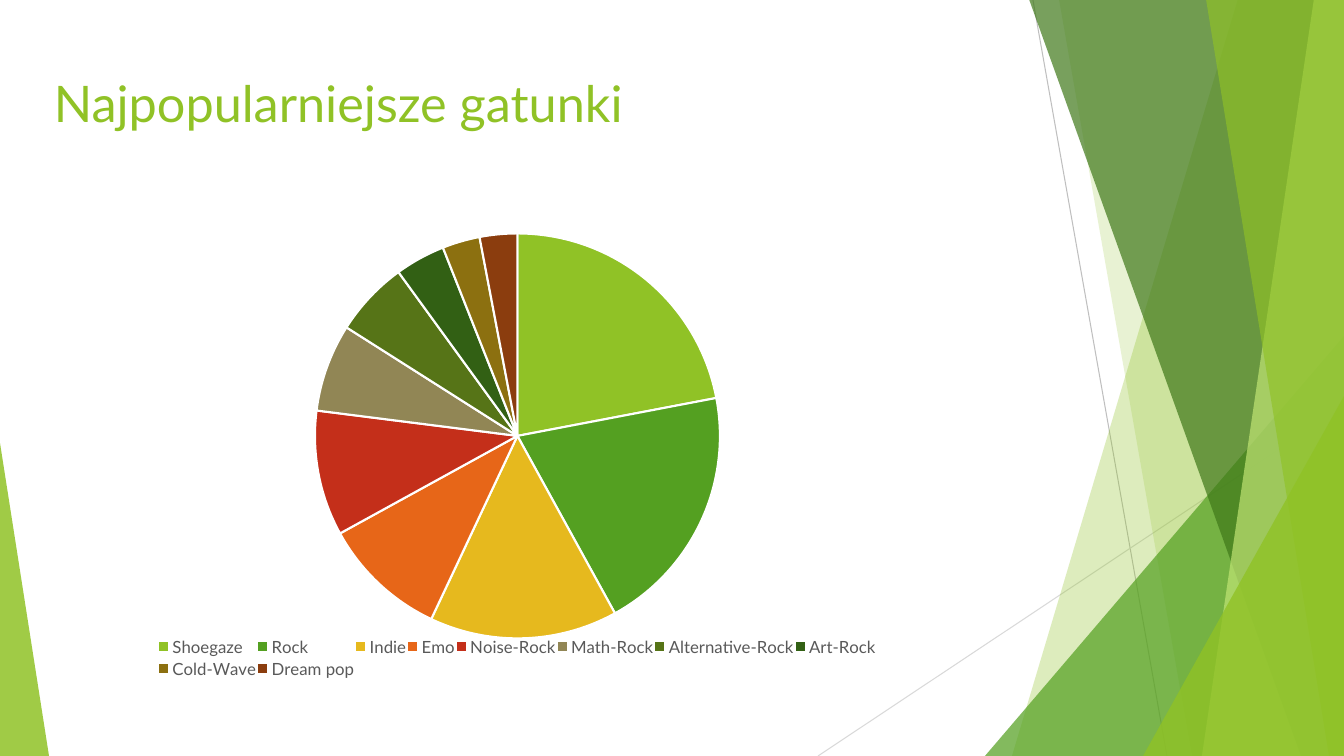
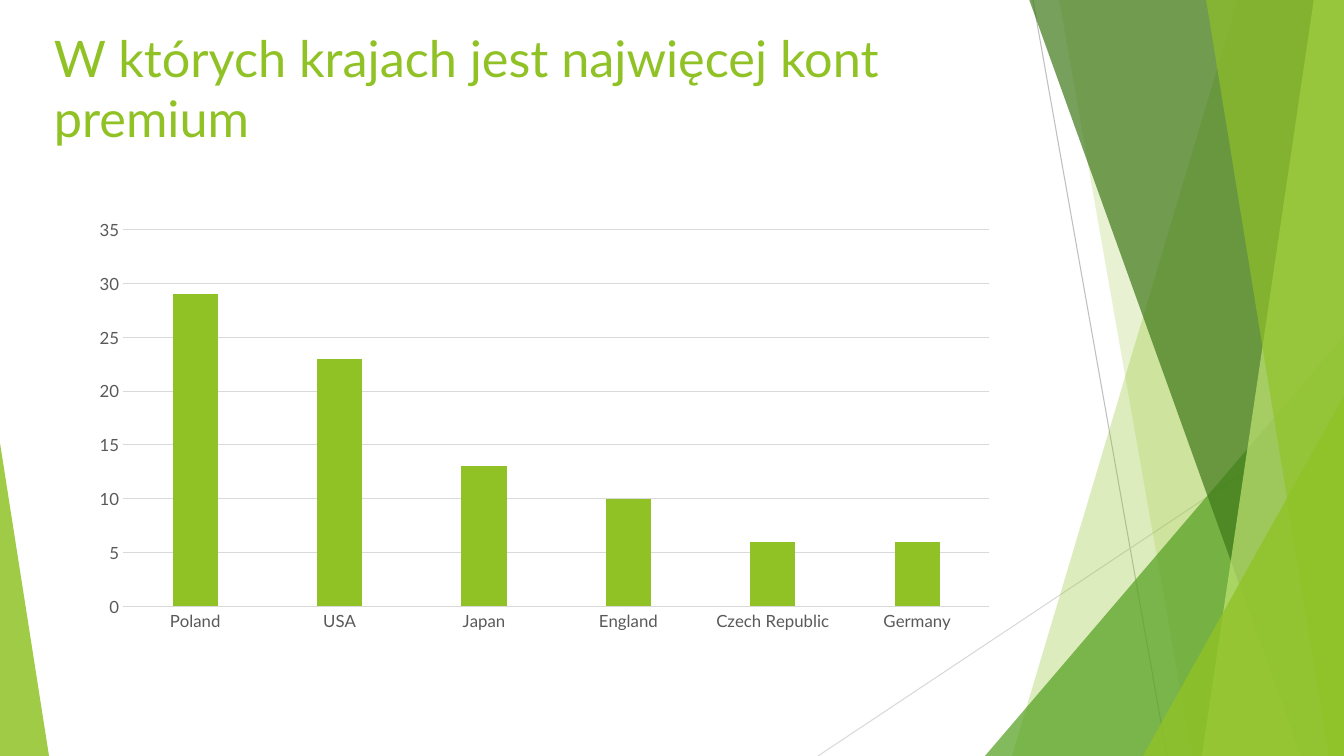
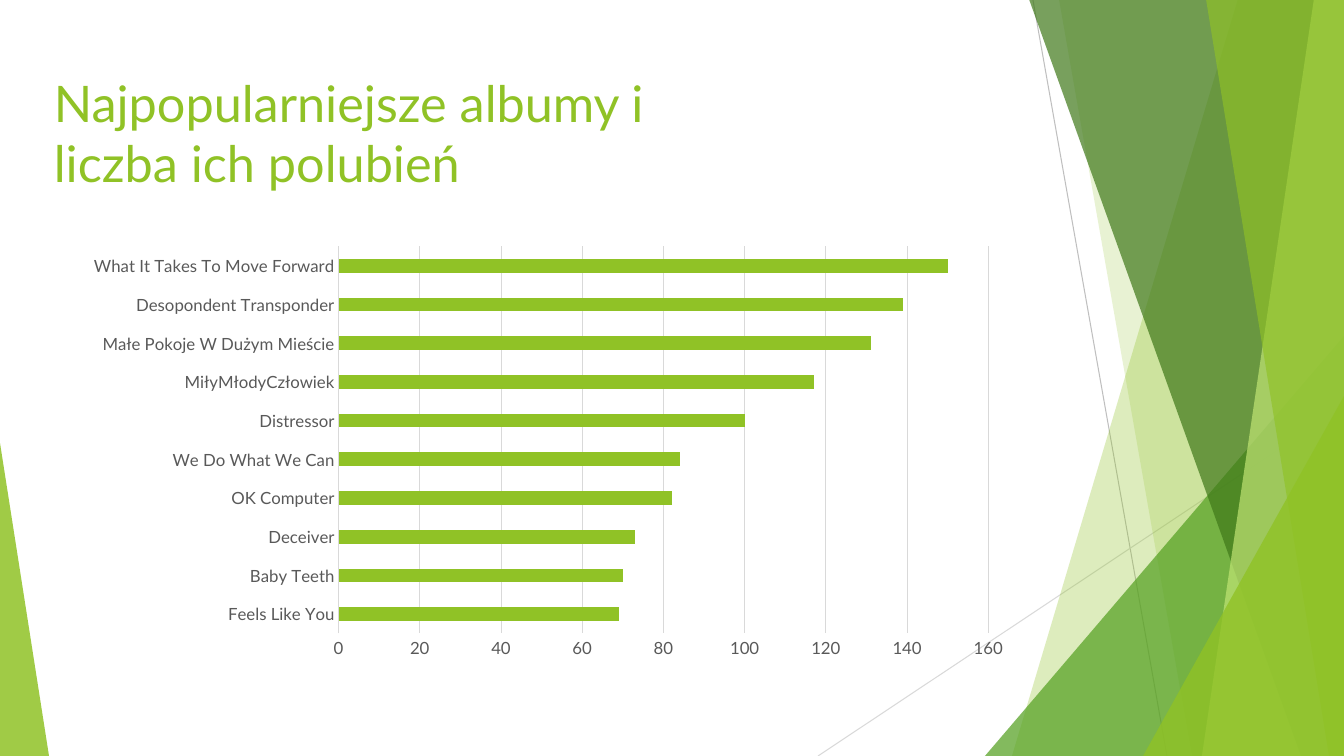
from lxml.etree import SubElement
from pptx import Presentation
from pptx.chart.data import CategoryChartData
from pptx.dml.color import RGBColor
from pptx.enum.chart import XL_CHART_TYPE, XL_LEGEND_POSITION, XL_TICK_MARK
from pptx.enum.shapes import MSO_CONNECTOR, MSO_SHAPE
from pptx.enum.text import MSO_ANCHOR
from pptx.oxml.ns import qn
from pptx.util import Pt

PIE = XL_CHART_TYPE.PIE
COLUMNS = XL_CHART_TYPE.COLUMN_CLUSTERED
BARS = XL_CHART_TYPE.BAR_CLUSTERED
BOTTOM = XL_LEGEND_POSITION.BOTTOM
NO_TICK = XL_TICK_MARK.NONE
STRAIGHT = MSO_CONNECTOR.STRAIGHT
TRIANGLE = MSO_SHAPE.ISOSCELES_TRIANGLE
TOP = MSO_ANCHOR.TOP

# Shared style
WIDTH, HEIGHT = 1344, 756
EMU_PER_PX = 12192000 / WIDTH
LIME, GREEN, FOREST, PALE = "90C226", "54A021", "3F7819", "C0E474"
WHITE, GRAY, RULE, DARK_RULE = "FFFFFF", "595959", "D9D9D9", "BFBFBF"
SLICES = [LIME, GREEN, "E6B91E", "E76618", "C42F1A",
          "918655", "567417", "326014", "8C7010", "8B3D0E"]
TITLE_FONT = {"name": "Lato", "size": Pt(36)}
CHART_FONT = {"name": "Lato", "size": Pt(12)}
TITLE_FRAME = {"word_wrap": True, "vertical_anchor": TOP}

# Backdrop: thin rules, then facets from back to front
RULES = [((1033, 0), (1167, HEIGHT), DARK_RULE), ((WIDTH, 406), (818, HEIGHT), RULE)]
# A band runs from its top left x to its bottom left x and fills to the right edge:
# (top x, bottom x, colour, opacity); a triangle: (box, peak, colour, opacity)
FACETS = [
    (1238, 1012, LIME, 30),
    (1059, 1192, LIME, 20),
    ((985, 336, 359, 420), 1, GREEN, 72),
    (1029, 1301, FOREST, 70),
    (1314, 1202, PALE, 70),
    (1206, 1329, LIME, 65),
    ((1143, 396, 201, 360), 1, LIME, 80),
    ((0, 443, 49, 313), 0, LIME, 85),
]


def px(*lengths):
    return [round(length * EMU_PER_PX) for length in lengths]


def color(value):
    return RGBColor.from_string(value)


def set_format(target, values):
    for name, value in values.items():
        setattr(target, name, value)


def paint(fill, value):
    fill.solid()
    fill.fore_color.rgb = color(value)


def stroke(line, value, points=0.75):
    line.color.rgb = color(value)
    line.width = Pt(points)


def add_rule(page, start, end, value):
    rule = page.shapes.add_connector(STRAIGHT, *px(*start, *end))
    stroke(rule.line, value)
    SubElement(rule._element.spPr, qn("a:effectLst"))


def add_facet(page, place, slope, value, opacity):
    if isinstance(place, tuple):
        facet = page.shapes.add_shape(TRIANGLE, *px(*place))
        facet.adjustments[0] = slope
    else:
        outline = page.shapes.build_freeform(place, -1, scale=EMU_PER_PX)
        outline.add_line_segments([(WIDTH, -1), (WIDTH, HEIGHT), (slope, HEIGHT)])
        facet = outline.convert_to_shape()
    facet.shadow.inherit = False
    paint(facet.fill, value)
    facet.line.fill.background()
    tint = facet._element.spPr.find(".//" + qn("a:srgbClr"))
    SubElement(tint, qn("a:alpha"), val=str(opacity * 1000))


def add_backdrop(page):
    for rule in RULES:
        add_rule(page, *rule)
    for facet in FACETS:
        add_facet(page, *facet)


def add_title(page, box, text):
    frame = page.shapes.add_textbox(*px(*box)).text_frame
    set_format(frame, TITLE_FRAME)
    frame.text = text
    for span in frame.paragraphs[0].runs:
        set_format(span.font, TITLE_FONT)
        span.font.color.rgb = color(LIME)


def add_chart(page, box, kind, values):
    data = CategoryChartData()
    data.categories = list(values)
    data.add_series("Series 1", list(values.values()))
    chart = page.shapes.add_chart(kind, *px(*box), data).chart
    set_format(chart.font, CHART_FONT)
    chart.font.color.rgb = color(GRAY)
    set_format(chart, {"has_title": False, "has_legend": kind == PIE})
    return chart


def place_part(part, index, box, chart_box, inner=False):
    """Fix a chart part at a px box measured from the chart's corner."""
    for old in part.findall(qn("c:layout")):
        part.remove(old)
    layout = SubElement(part, qn("c:layout"))
    part.insert(index, layout)
    manual = SubElement(layout, qn("c:manualLayout"))
    if inner:
        SubElement(manual, qn("c:layoutTarget"), val="inner")
    for name in ("xMode", "yMode"):
        SubElement(manual, qn("c:" + name), val="edge")
    for name, length, whole in zip("xywh", box, chart_box[2:] * 2):
        SubElement(manual, qn("c:" + name), val=str(round(length / whole, 4)))


def add_pie(page, box, values, plot_box, legend_box):
    chart = add_chart(page, box, PIE, values)
    set_format(chart.legend, {"position": BOTTOM, "include_in_layout": False})
    place_part(chart._chartSpace.chart.plotArea, 0, plot_box, box, inner=True)
    place_part(chart.legend._element, 1, legend_box, box)
    plot = chart.plots[0]
    plot.vary_by_categories = True
    for index, value in enumerate(SLICES):
        piece = plot.series[0].points[index].format
        paint(piece.fill, value)
        stroke(piece.line, WHITE, 1.5)


def add_bars(page, box, kind, values, scale, spacing):
    chart = add_chart(page, box, kind, values)
    plot = chart.plots[0]
    set_format(plot, {"vary_by_categories": False, **spacing})
    paint(plot.series[0].format.fill, LIME)
    for axis in (chart.category_axis, chart.value_axis):
        set_format(axis, {"major_tick_mark": NO_TICK, "minor_tick_mark": NO_TICK})
    stroke(chart.category_axis.format.line, RULE)
    # Value axis: grid only
    set_format(chart.value_axis, {"minimum_scale": 0, "has_major_gridlines": True, **scale})
    chart.value_axis.format.line.fill.background()
    stroke(chart.value_axis.major_gridlines.format.line, RULE)


def add_page(deck, title_box, title):
    page = deck.slides.add_slide(deck.slide_layouts[6])
    add_backdrop(page)
    add_title(page, title_box, title)
    return page


def main():
    deck = Presentation()
    deck.slide_width, deck.slide_height = px(WIDTH, HEIGHT)

    # Genres
    page = add_page(deck, (44, 67, 1257, 144), "Najpopularniejsze gatunki")
    add_pie(page, (43, 219, 948, 470), {
        "Shoegaze": 22, "Rock": 20, "Indie": 15, "Emo": 10, "Noise-Rock": 10,
        "Math-Rock": 7, "Alternative-Rock": 6, "Art-Rock": 4, "Cold-Wave": 3,
        "Dream pop": 3,
    }, plot_box=(272, 14, 405, 406), legend_box=(114, 415, 720, 47))

    # Countries
    page = add_page(deck, (44, 22, 965, 144), "W których krajach jest najwięcej kont premium")
    add_bars(page, (81, 211, 927, 428), COLUMNS, {
        "Poland": 29, "USA": 23, "Japan": 13, "England": 10,
        "Czech Republic": 6, "Germany": 6,
    }, {"maximum_scale": 35, "major_unit": 5}, {"gap_width": 219, "overlap": -27})

    # Albums
    page = add_page(deck, (44, 67, 1257, 144), "Najpopularniejsze albumy i \vliczba ich polubień")
    add_bars(page, (75, 238, 947, 428), BARS, {
        "Feels Like You": 69, "Baby Teeth": 70, "Deceiver": 73, "OK Computer": 82,
        "We Do What We Can": 84, "Distressor": 100, "MiłyMłodyCzłowiek": 117,
        "Małe Pokoje W Dużym Mieście": 131, "Desopondent Transponder": 139,
        "What It Takes To Move Forward": 150,
    }, {"maximum_scale": 160, "major_unit": 20}, {"gap_width": 182})

    deck.save("out.pptx")


if __name__ == "__main__":
    main()
